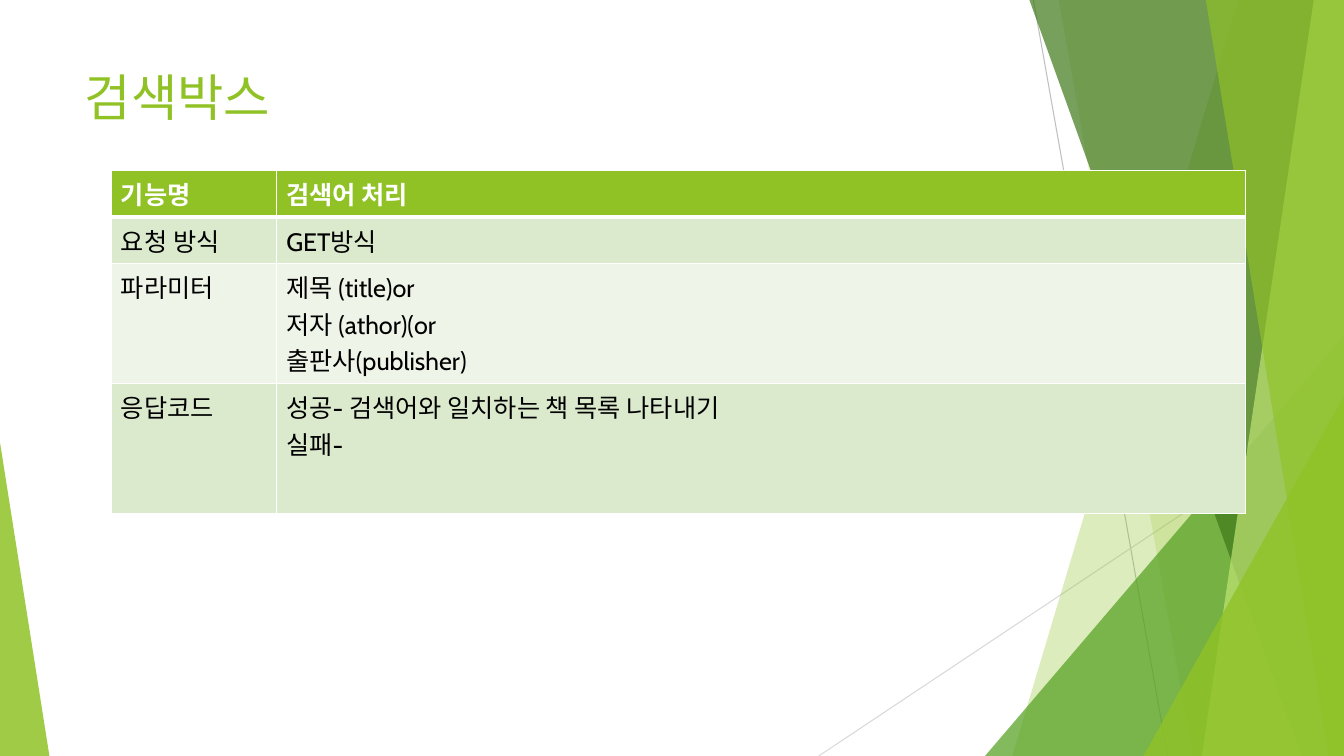
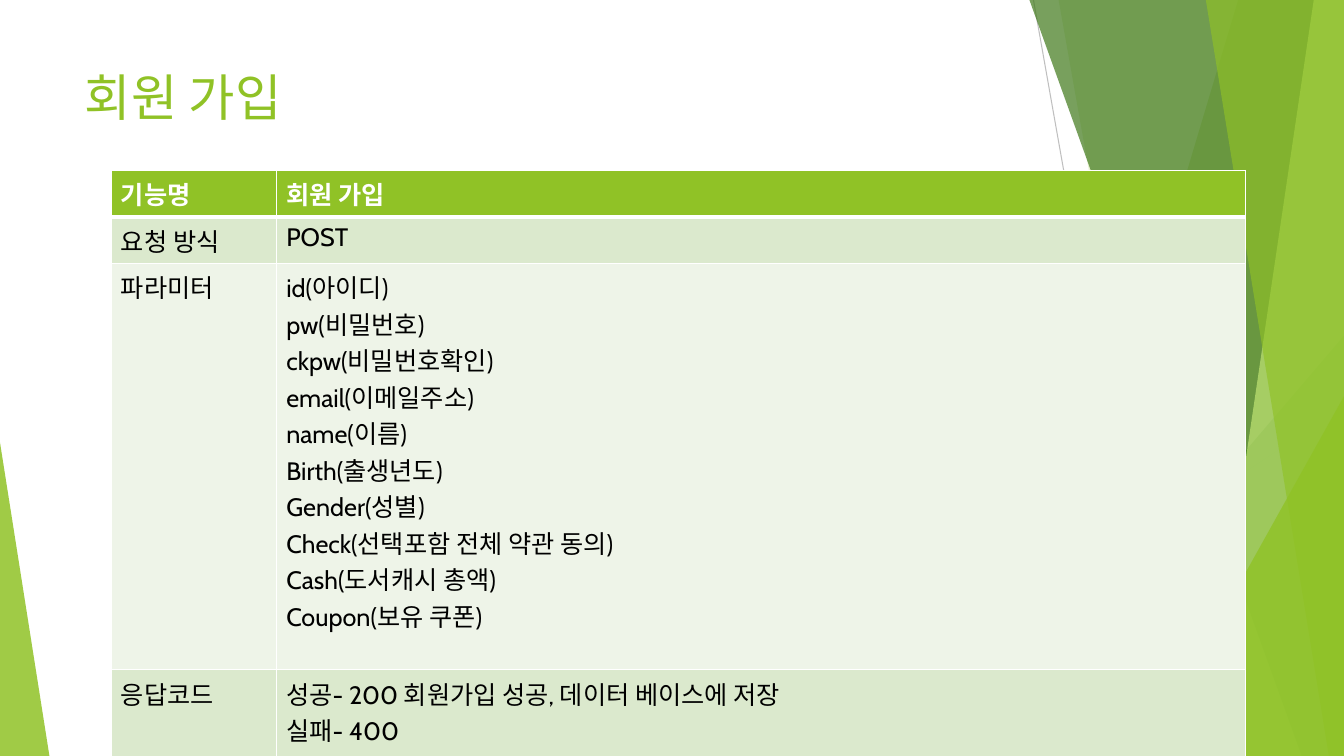
from lxml import etree
from pptx import Presentation
from pptx import util as u
from pptx.dml.color import RGBColor
from pptx.enum import shapes, text
from pptx.oxml import ns

WIDTH, HEIGHT = 13.33, 7.5
FONT = "Cabin"
GREEN, LEAF, FOREST, LIME = "90C226", "54A021", "3F7819", "C0E474"
WHITE, BLACK = "FFFFFF", "000000"
ROW_FILLS = ["DBE9CD", "EEF4E8"]
TITLE_BOX = (0.74, 0.67, 9.4, 0.77)
TABLE_LEFT, TABLE_TOP = 1.1, 1.69
COLUMN_WIDTHS = [1.64, 9.61]
LABELS = ["기능명", "요청 방식", "파라미터", "응답코드"]


def color(value):
    return RGBColor.from_string(value)


def add_child(parent, tag, **attributes):
    return etree.SubElement(parent, ns.qn(tag), attributes)


def paint(shape, fill, opacity):
    """Fill a shape with a see-through colour, without line or shadow."""
    shape.shadow.inherit = False
    shape.line.fill.background()
    shape.fill.solid()
    shape.fill.fore_color.rgb = color(fill)
    solid = shape.element.spPr.find(ns.qn("a:solidFill"))
    add_child(solid[0], "a:alpha", val=str(opacity * 1000))


def add_ray(group, start, end, line):
    points = [u.Inches(value) for value in (*start, *end)]
    ray = group.shapes.add_connector(shapes.MSO_CONNECTOR.STRAIGHT, *points)
    ray.line.color.rgb = color(line)
    ray.line.width = u.Pt(0.75)
    add_child(ray.element.spPr, "a:effectLst")


def add_panel(group, top_left, bottom_left, fill, opacity):
    """Add a full-height panel that reaches the right edge of the slide."""
    corners = [(top_left, 0), (WIDTH, 0), (WIDTH, HEIGHT), (bottom_left, HEIGHT)]
    points = [(u.Inches(x), u.Inches(y)) for x, y in corners]
    builder = group.shapes.build_freeform(*points[0])
    builder.add_line_segments(points[1:], close=True)
    paint(builder.convert_to_shape(), fill, opacity)


def add_corner(group, left, top, width, apex, fill, opacity):
    """Add a right triangle that stands on the bottom edge of the slide."""
    triangle = group.shapes.add_shape(
        shapes.MSO_SHAPE.ISOSCELES_TRIANGLE, u.Inches(left), u.Inches(top),
        u.Inches(width), u.Inches(HEIGHT - top))
    triangle.adjustments[0] = apex
    paint(triangle, fill, opacity)


def add_backdrop(slide):
    """Draw the green facets and move them to the layout the slides share."""
    group = slide.shapes.add_group_shape()
    add_ray(group, (10.25, 0), (11.58, HEIGHT), "BFBFBF")
    add_ray(group, (WIDTH, 4.03), (8.12, HEIGHT), "D9D9D9")
    add_panel(group, 12.28, 10.04, GREEN, 30)
    add_panel(group, 10.5, 11.83, GREEN, 20)
    add_corner(group, 9.77, 3.33, 3.56, 1, LEAF, 72)
    add_panel(group, 10.21, 12.91, FOREST, 70)
    add_panel(group, 13.03, 11.92, LIME, 70)
    add_panel(group, 11.96, 13.18, GREEN, 65)
    add_corner(group, 11.34, 3.93, 1.99, 1, GREEN, 80)
    add_corner(group, 0, 4.39, 0.49, 0, GREEN, 85)
    for number, properties in enumerate(group.element.xpath(".//p:cNvPr"), 100):
        properties.set("id", str(number))
    slide.slide_layout.element.cSld.spTree.insert(2, group.element)


def add_run(paragraph, content, size, font_color, bold=False):
    run = paragraph.add_run()
    run.text = content
    run.font.name = FONT
    run.font.size = u.Pt(size)
    run.font.bold = bold
    run.font.color.rgb = color(font_color)


def fill_title(slide, content):
    title = slide.shapes.title
    title.left, title.top, title.width, title.height = map(u.Inches, TITLE_BOX)
    frame = title.text_frame
    frame.auto_size = text.MSO_AUTO_SIZE.NONE
    frame.vertical_anchor = text.MSO_ANCHOR.TOP
    paragraph = frame.paragraphs[0]
    paragraph.alignment = text.PP_ALIGN.LEFT
    paragraph.line_spacing = 0.9
    add_run(paragraph, content, 36, GREEN)


def set_borders(cell, top, bottom):
    """Give a cell white borders; top and bottom are widths in points."""
    properties = cell._tc.get_or_add_tcPr()
    widths = {"a:lnL": 1, "a:lnR": 1, "a:lnT": top, "a:lnB": bottom}
    for position, (tag, width) in enumerate(widths.items()):
        line = add_child(properties, tag, w=str(u.Pt(width)))
        add_child(add_child(line, "a:solidFill"), "a:srgbClr", val=WHITE)
        properties.insert(position, line)


def fill_cell(cell, lines, row):
    header = row == 0
    cell.fill.solid()
    cell.fill.fore_color.rgb = color(GREEN if header else ROW_FILLS[(row - 1) % 2])
    set_borders(cell, top=3 if row == 1 else 1, bottom=3 if header else 1)
    frame = cell.text_frame
    for index, line in enumerate(lines):
        paragraph = frame.add_paragraph() if index else frame.paragraphs[0]
        add_run(paragraph, line, 18, WHITE if header else BLACK, header)


def add_request_table(slide, values, row_heights):
    frame = slide.shapes.add_table(
        len(LABELS), len(COLUMN_WIDTHS), u.Inches(TABLE_LEFT), u.Inches(TABLE_TOP),
        u.Inches(sum(COLUMN_WIDTHS)), u.Inches(sum(row_heights)))
    table = frame.table
    for column, width in zip(table.columns, COLUMN_WIDTHS):
        column.width = u.Inches(width)
    for row, (label, lines, height) in enumerate(zip(LABELS, values, row_heights)):
        table.rows[row].height = u.Inches(height)
        fill_cell(table.cell(row, 0), [label], row)
        fill_cell(table.cell(row, 1), lines, row)


def add_request_slide(presentation, title, values, row_heights):
    slide = presentation.slides.add_slide(presentation.slide_layouts[5])
    fill_title(slide, title)
    add_request_table(slide, values, row_heights)
    return slide


def main():
    presentation = Presentation()
    presentation.slide_width = u.Inches(WIDTH)
    presentation.slide_height = u.Inches(HEIGHT)
    search_slide = add_request_slide(presentation, "검색박스", [
        ["검색어 처리"],
        ["GET방식"],
        ["제목 (title)or", "저자 (athor)(or", "출판사(publisher)"],
        ["성공- 검색어와 일치하는 책 목록 나타내기", "실패-"],
    ], [0.46, 0.46, 1.19, 1.29])
    add_backdrop(search_slide)
    add_request_slide(presentation, "회원 가입", [
        ["회원 가입"],
        ["POST"],
        ["id(아이디)", "pw(비밀번호)", "ckpw(비밀번호확인)", "email(이메일주소)",
         "name(이름)", "Birth(출생년도)", "Gender(성별)",
         "Check(선택포함 전체 약관 동의)", "Cash(도서캐시 총액)", "Coupon(보유 쿠폰)"],
        ["성공- 200 회원가입 성공, 데이터 베이스에 저장", "실패- 400"],
    ], [0.46, 0.46, 4.03, 0.86])
    presentation.save("out.pptx")


if __name__ == "__main__":
    main()
